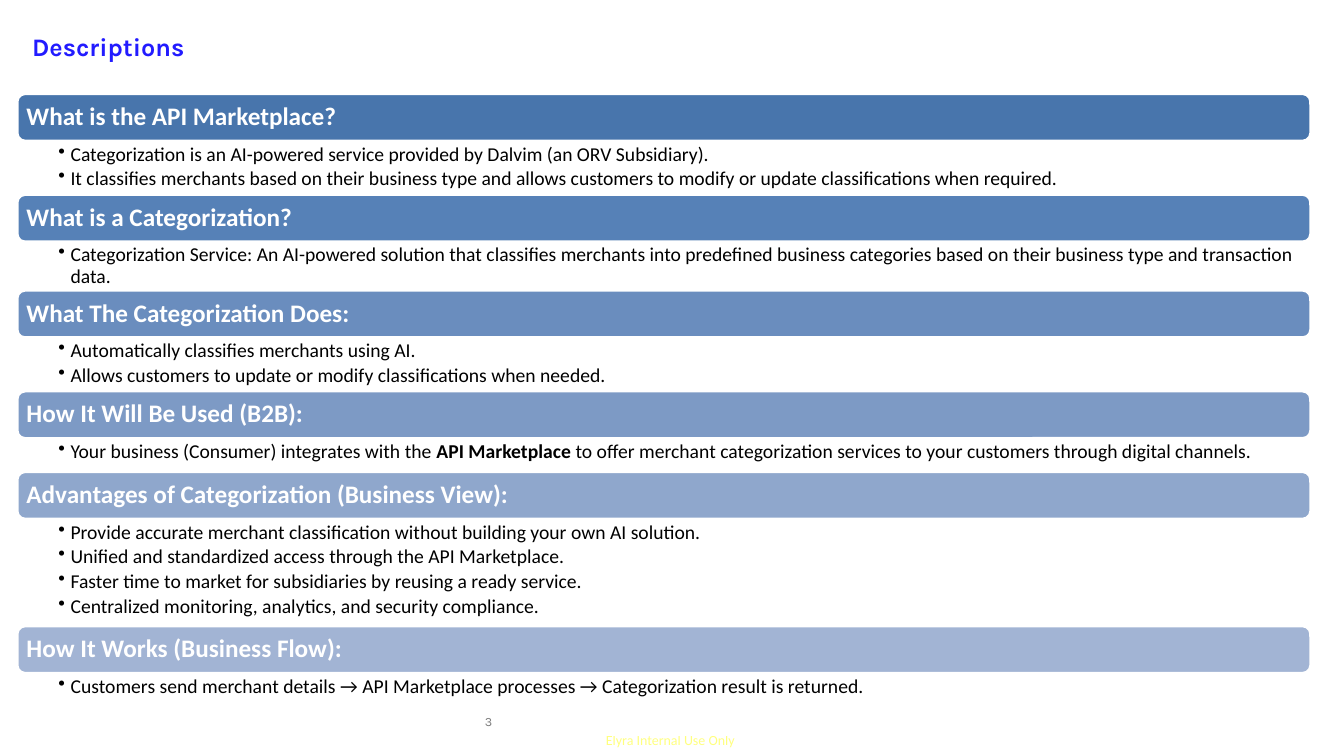
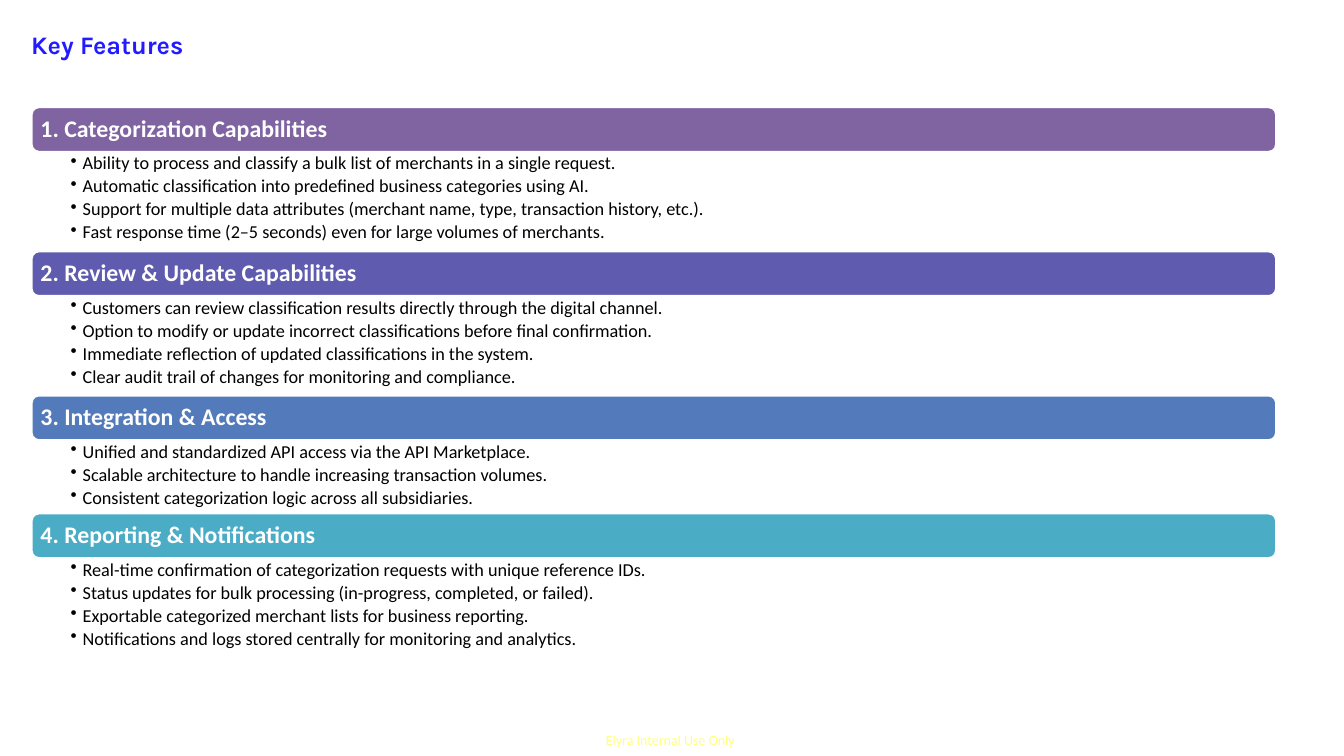
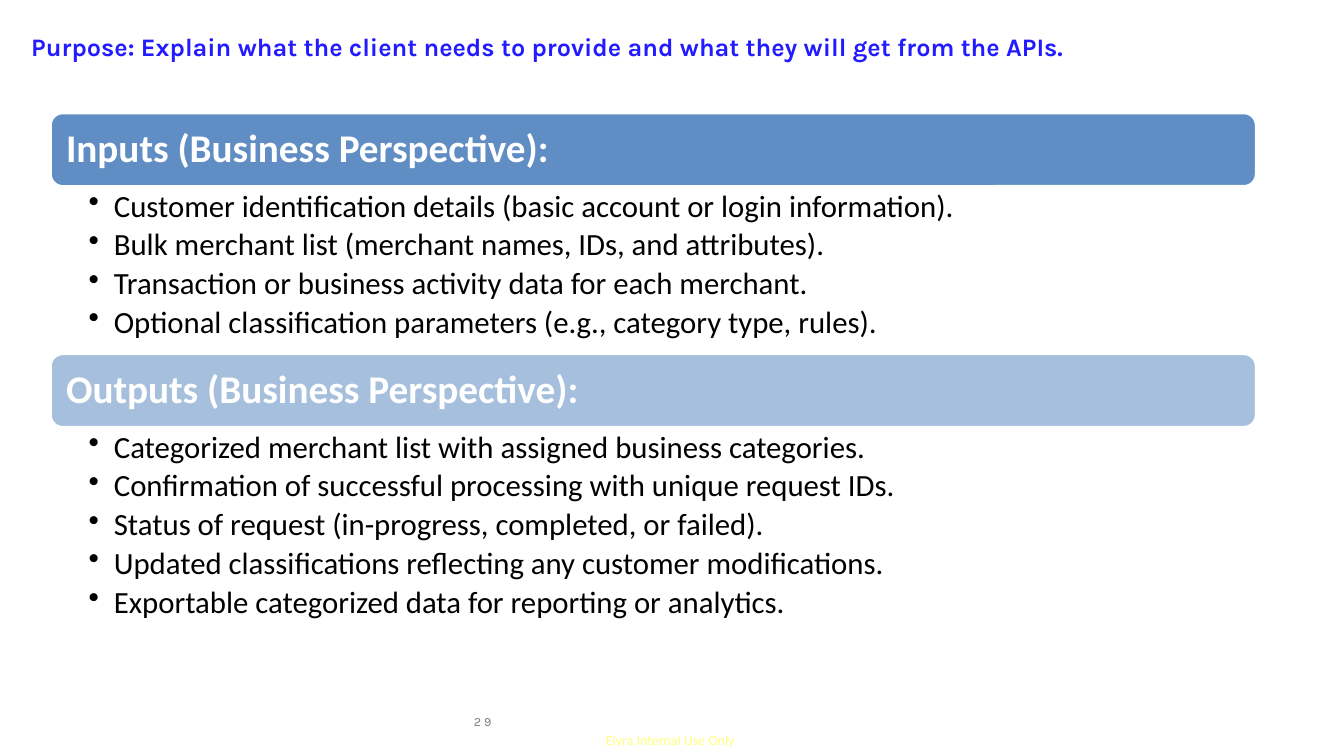
import dataclasses
import typing

import lxml.etree
import pptx
import pptx.dml.color
import pptx.enum.shapes
import pptx.enum.text
import pptx.oxml.ns
import pptx.presentation
import pptx.shapes.autoshape
import pptx.slide
import pptx.text.text
import pptx.util

EMU_PER_PX = 9144
BODY_FONT = "Calibri"
TITLE_FONT = "Karla"
LINE_SPACING = 0.9
BULLET_GAP = 0.18

COLORS: dict[str, str] = {
    "title": "221BFF",
    "footer": "FFFF00",
    "page": "7E7E7E",
    "white": "FFFFFF",
    "black": "000000",
    "blue_1": "4875AC",
    "blue_2": "5681B7",
    "blue_3": "6A8DBE",
    "blue_4": "7D9AC5",
    "blue_5": "8FA7CC",
    "blue_6": "A2B4D4",
    "purple": "8064A2",
    "indigo": "5F5BAE",
    "azure": "537ABA",
    "teal": "4BACC6",
    "accent": "4F81BD",
}


class Box(typing.NamedTuple):
    left: int
    top: int
    width: int
    height: int


class Insets(typing.NamedTuple):
    left: int = 0
    top: int = 0
    right: int = 0
    bottom: int = 0


@dataclasses.dataclass(frozen=True)
class Section:
    heading: str
    color: str
    body_height: int
    bullets: tuple[str, ...]
    emphasis: str = ""
    opacity: int = 100


@dataclasses.dataclass(frozen=True)
class ListStyle:
    left: int
    top: int
    width: int
    band_height: int
    band_inset: int
    body_insets: Insets
    hanging: int
    heading_size: int
    bullet_size: int


@dataclasses.dataclass(frozen=True)
class Page:
    title: str
    title_insets: Insets
    style: ListStyle
    sections: tuple[Section, ...]
    number: str = ""
    number_indent: int = 0


PAGES: tuple[Page, ...] = (
    Page(
        "Descriptions",
        Insets(left=1, top=2),
        ListStyle(17, 93, 1283, 47, 7, Insets(41, 3, 14, 3), 12, 18, 14),
        (
            Section("What is the API Marketplace?", "blue_1", 53, (
                "Categorization is an AI-powered service provided by Dalvim (an ORV Subsidiary).",
                "It classifies merchants based on their business type and allows customers to "
                "modify or update classifications when required.",
            )),
            Section("What is a Categorization?", "blue_2", 48, (
                "Categorization Service: An AI-powered solution that classifies merchants into "
                "predefined business categories based on their business type and transaction data.",
            )),
            Section("What The Categorization Does:", "blue_3", 53, (
                "Automatically classifies merchants using AI.",
                "Allows customers to update or modify classifications when needed.",
            )),
            Section("How It Will Be Used (B2B):", "blue_4", 33, (
                "Your business (Consumer) integrates with the API Marketplace to offer merchant "
                "categorization services to your customers through digital channels.",
            ), emphasis="API Marketplace"),
            Section("Advantages of Categorization (Business View):", "blue_5", 106, (
                "Provide accurate merchant classification without building your own AI solution.",
                "Unified and standardized access through the API Marketplace.",
                "Faster time to market for subsidiaries by reusing a ready service.",
                "Centralized monitoring, analytics, and security compliance.",
            )),
            Section("How It Works (Business Flow):", "blue_6", 33, (
                "Customers send merchant details → API Marketplace processes → "
                "Categorization result is returned.",
            )),
        ),
        number="3",
        number_indent=12,
    ),
    Page(
        "Key Features",
        Insets(),
        ListStyle(31, 106, 1235, 45, 7, Insets(39, 2, 13, 2), 12, 17, 13),
        (
            Section("1. Categorization Capabilities", "purple", 98, (
                "Ability to process and classify a bulk list of merchants in a single request.",
                "Automatic classification into predefined business categories using AI.",
                "Support for multiple data attributes (merchant name, type, transaction history, etc.).",
                "Fast response time (2–5 seconds) even for large volumes of merchants.",
            )),
            Section("2. Review & Update Capabilities", "indigo", 98, (
                "Customers can review classification results directly through the digital channel.",
                "Option to modify or update incorrect classifications before final confirmation.",
                "Immediate reflection of updated classifications in the system.",
                "Clear audit trail of changes for monitoring and compliance.",
            )),
            Section("3. Integration & Access", "azure", 72, (
                "Unified and standardized API access via the API Marketplace.",
                "Scalable architecture to handle increasing transaction volumes.",
                "Consistent categorization logic across all subsidiaries.",
            )),
            Section("4. Reporting & Notifications", "teal", 98, (
                "Real-time confirmation of categorization requests with unique reference IDs.",
                "Status updates for bulk processing (in-progress, completed, or failed).",
                "Exportable categorized merchant lists for business reporting.",
                "Notifications and logs stored centrally for monitoring and analytics.",
            )),
        ),
    ),
    Page(
        "Purpose: Explain what the client needs to provide and what they will get from the APIs.",
        Insets(top=2),
        ListStyle(50, 112, 1196, 73, 12, Insets(38, 4, 22, 4), 25, 28, 22),
        (
            Section("Inputs (Business Perspective):", "accent", 166, (
                "Customer identification details (basic account or login information).",
                "Bulk merchant list (merchant names, IDs, and attributes).",
                "Transaction or business activity data for each merchant.",
                "Optional classification parameters (e.g., category type, rules).",
            ), opacity=90),
            Section("Outputs (Business Perspective):", "accent", 209, (
                "Categorized merchant list with assigned business categories.",
                "Confirmation of successful processing with unique request IDs.",
                "Status of request (in-progress, completed, or failed).",
                "Updated classifications reflecting any customer modifications.",
                "Exportable categorized data for reporting or analytics.",
            ), opacity=50),
        ),
        number="2 9",
        number_indent=1,
    ),
)


def px(length: int) -> pptx.util.Emu:
    return pptx.util.Emu(length * EMU_PER_PX)


def rgb(name: str) -> pptx.dml.color.RGBColor:
    return pptx.dml.color.RGBColor.from_string(COLORS[name])


def set_opacity(element: lxml.etree._Element, percent: int) -> None:
    color = element.find(".//" + pptx.oxml.ns.qn("a:srgbClr"))
    alpha = lxml.etree.SubElement(color, pptx.oxml.ns.qn("a:alpha"))
    alpha.set("val", str(percent * 1000))


def set_insets(frame: pptx.text.text.TextFrame, insets: Insets) -> None:
    frame.margin_left, frame.margin_top, frame.margin_right, frame.margin_bottom = map(px, insets)


def style_run(run: pptx.text.text._Run, font: str, size: int, color: str, bold: bool = False) -> None:
    run.font.name = font
    run.font.size = pptx.util.Pt(size)
    run.font.bold = bold
    run.font.color.rgb = rgb(color)


def add_frame(slide: pptx.slide.Slide, box: Box, insets: Insets, wrap: bool = True) -> pptx.text.text.TextFrame:
    frame = slide.shapes.add_textbox(*map(px, box)).text_frame
    frame.word_wrap = wrap
    set_insets(frame, insets)
    return frame


def add_line(
    slide: pptx.slide.Slide, box: Box, insets: Insets, text: str,
    font: str, size: int, color: str, bold: bool = False, wrap: bool = False,
) -> pptx.text.text._Run:
    frame = add_frame(slide, box, insets, wrap)
    frame.text = text
    run = frame.paragraphs[0].runs[0]
    style_run(run, font, size, color, bold)
    return run


def add_band(slide: pptx.slide.Slide, box: Box, section: Section, style: ListStyle) -> None:
    band: pptx.shapes.autoshape.Shape = slide.shapes.add_shape(
        pptx.enum.shapes.MSO_SHAPE.ROUNDED_RECTANGLE, *map(px, box)
    )
    band.shadow.inherit = False
    band.fill.solid()
    band.fill.fore_color.rgb = rgb(section.color)
    if section.opacity < 100:
        set_opacity(band._element.spPr, section.opacity)
    band.line.color.rgb = rgb("white")
    band.line.width = pptx.util.Pt(2)
    frame = band.text_frame
    set_insets(frame, Insets(*[style.band_inset] * 4))
    frame.vertical_anchor = pptx.enum.text.MSO_ANCHOR.MIDDLE
    frame.text = section.heading
    heading = frame.paragraphs[0]
    heading.alignment = pptx.enum.text.PP_ALIGN.LEFT
    heading.line_spacing = LINE_SPACING
    style_run(heading.runs[0], BODY_FONT, style.heading_size, "white", True)


def add_bullets(slide: pptx.slide.Slide, box: Box, section: Section, style: ListStyle) -> None:
    frame = add_frame(slide, box, style.body_insets)
    for index, bullet in enumerate(section.bullets):
        paragraph = frame.add_paragraph() if index else frame.paragraphs[0]
        properties = paragraph._p.get_or_add_pPr()
        properties.set("marL", str(px(style.hanging)))
        properties.set("indent", str(-px(style.hanging)))
        marker = lxml.etree.SubElement(properties, pptx.oxml.ns.qn("a:buChar"))
        marker.set("char", "•")
        paragraph.line_spacing = LINE_SPACING
        paragraph.space_after = pptx.util.Pt(style.bullet_size * BULLET_GAP)
        pieces = bullet.partition(section.emphasis) if section.emphasis else (bullet,)
        for piece in pieces:
            run = paragraph.add_run()
            run.text = piece
            style_run(run, BODY_FONT, style.bullet_size, "black", piece == section.emphasis)


def add_page(deck: pptx.presentation.Presentation, page: Page) -> None:
    slide = deck.slides.add_slide(deck.slide_layouts[6])
    footer = add_line(
        slide, Box(601, 726, 134, 17), Insets(), "Elyra Internal Use Only", BODY_FONT, 10, "footer"
    )
    set_opacity(footer._r, 50)
    add_line(
        slide, Box(31, 29, 1215, 33), page.title_insets, page.title,
        TITLE_FONT, 18, "title", bold=True, wrap=True,
    )
    if page.number:
        add_line(
            slide, Box(469, 705, 29, 19), Insets(left=page.number_indent, top=3),
            page.number, TITLE_FONT, 9, "page",
        )
    style = page.style
    top = style.top
    for section in page.sections:
        add_band(slide, Box(style.left, top, style.width, style.band_height), section, style)
        top += style.band_height
        add_bullets(slide, Box(style.left, top, style.width, section.body_height), section, style)
        top += section.body_height


def main() -> None:
    deck = pptx.Presentation()
    deck.slide_width, deck.slide_height = px(1333), px(750)
    for page in PAGES:
        add_page(deck, page)
    deck.save("out.pptx")


if __name__ == "__main__":
    main()
